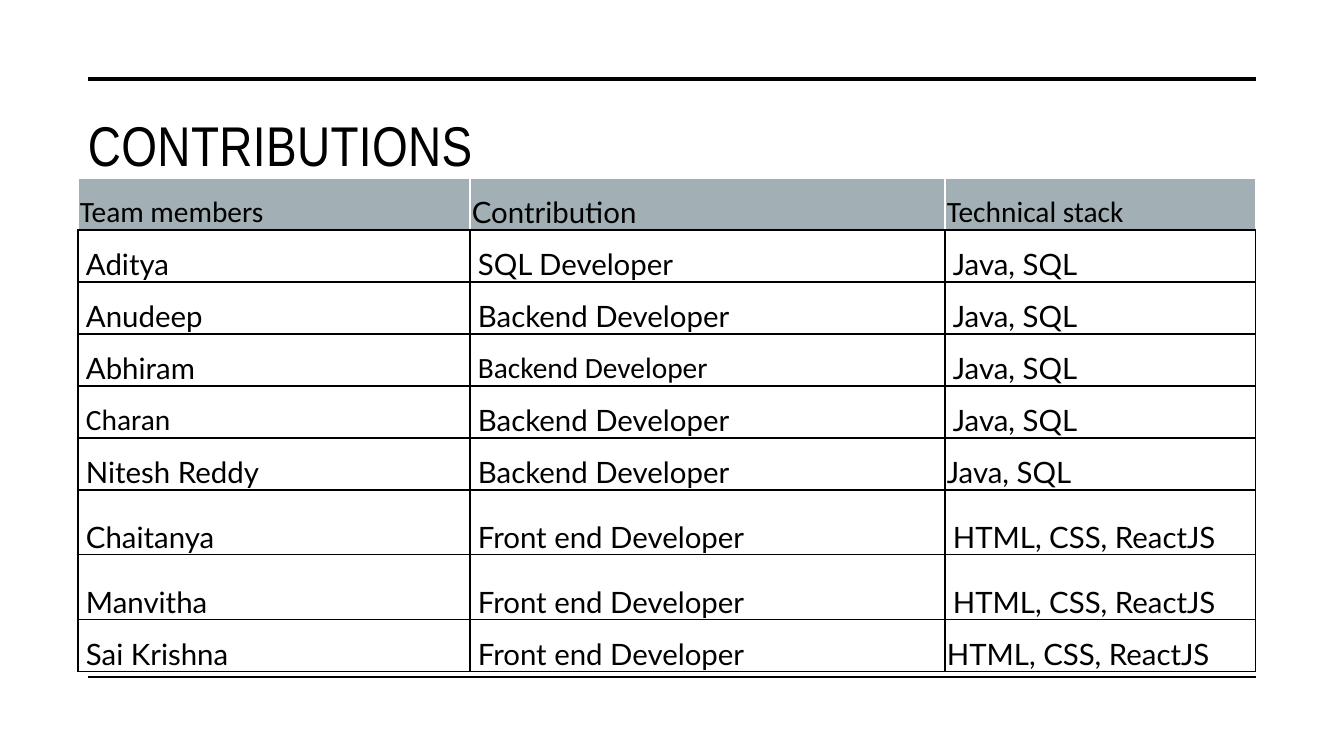
from lxml.etree import SubElement
from pptx import Presentation
from pptx.dml.color import RGBColor
from pptx.enum.shapes import MSO_CONNECTOR
from pptx.enum.text import MSO_ANCHOR
from pptx.oxml import parse_xml
from pptx.oxml.ns import nsdecls, qn
from pptx.util import Pt

EMU_PER_PX = 914400 / 100.8
COLORS = {"ink": "000000", "header": "A2AFB5", "paper": "FFFFFF"}
FONTS = {"title": "Arial Narrow", "body": "Lato", "plain": "Calibri"}

TABLE_LEFT, TABLE_TOP = 78, 178
COLUMN_WIDTHS = [392, 475, 311]
ROW_HEIGHTS = [52] * 6 + [65] * 2 + [52]
CELL_INSET, TEXT_INDENT = 2, 6

BACKEND = ("Backend Developer", "Java, SQL")
FRONTEND = ("Front end Developer", "HTML, CSS, ReactJS")
ROWS = [
    ("Team members", "Contribution", "Technical stack"),
    ("Aditya", "SQL Developer", "Java, SQL"),
    ("Anudeep", *BACKEND),
    ("Abhiram", *BACKEND),
    ("Charan", *BACKEND),
    ("Nitesh Reddy", *BACKEND),
    ("Chaitanya", *FRONTEND),
    ("Manvitha", *FRONTEND),
    ("Sai Krishna", *FRONTEND),
]
PLAIN_CELLS = {(0, 0), (0, 2), (3, 1), (4, 0)}
FLUSH_CELLS = {(0, 0), (0, 1), (0, 2), (5, 2), (8, 2)}


def px(length):
    return round(length * EMU_PER_PX)


class SlideBuilder:
    def __init__(self, page):
        self.page = page

    def color(self, name):
        return RGBColor.from_string(COLORS[name])

    def add_text(self, para, text, font, size):
        span = para.add_run()
        span.text = text
        span.font.name = FONTS[font]
        span.font.size = Pt(size)
        span.font.color.rgb = self.color("ink")
        return span

    def rule(self, left, right, top, weight):
        line = self.page.shapes.add_connector(
            MSO_CONNECTOR.STRAIGHT, px(left), px(top), px(right), px(top))
        line.line.color.rgb = self.color("ink")
        line.line.width = Pt(weight)
        SubElement(line._element.spPr, qn("a:effectLst"))

    def title(self, text, left, top, width, height):
        box = self.page.shapes.add_textbox(px(left), px(top), px(width), px(height))
        frame = box.text_frame
        frame.word_wrap = True
        frame.vertical_anchor = MSO_ANCHOR.TOP
        frame.margin_left = frame.margin_right = px(10)
        frame.margin_top = px(9)
        span = self.add_text(frame.paragraphs[0], text, "title", 40)
        span.font._element.set("spc", "30")

    def borders(self, cell, sides):
        properties = cell._tc.get_or_add_tcPr()
        for index, (side, color) in enumerate(sides.items()):
            properties.insert(index, parse_xml(
                f'<a:ln{side} {nsdecls("a")} w="{Pt(1)}"><a:solidFill>'
                f'<a:srgbClr val="{COLORS[color]}"/></a:solidFill></a:ln{side}>'))

    def cell(self, cell, text, font, indent, is_header):
        cell.vertical_anchor = MSO_ANCHOR.BOTTOM
        cell.margin_left = px(CELL_INSET + indent)
        cell.margin_right = cell.margin_top = px(CELL_INSET)
        cell.margin_bottom = 0
        self.add_text(cell.text_frame.paragraphs[0], text, font, 21)
        if is_header:
            cell.fill.solid()
            cell.fill.fore_color.rgb = self.color("header")
        else:
            cell.fill.background()
        edge = "paper" if is_header else "ink"
        self.borders(cell, {"L": edge, "R": edge, "T": edge, "B": "ink"})

    def table(self, rows, left, top, widths, heights):
        table = self.page.shapes.add_table(
            len(rows), len(widths), px(left), px(top),
            px(sum(widths)), px(sum(heights))).table
        table.first_row = table.horz_banding = False
        for column, width in zip(table.columns, widths):
            column.width = px(width)
        for row, height in zip(table.rows, heights):
            row.height = px(height)
        for i, texts in enumerate(rows):
            for j, text in enumerate(texts):
                font = "plain" if (i, j) in PLAIN_CELLS else "body"
                indent = 0 if (i, j) in FLUSH_CELLS else TEXT_INDENT
                self.cell(table.cell(i, j), text, font, indent, i == 0)


def main():
    deck = Presentation()
    deck.slide_width, deck.slide_height = px(1344), px(756)
    page = deck.slides.add_slide(deck.slide_layouts[6])
    page.background.fill.solid()
    page.background.fill.fore_color.rgb = RGBColor.from_string(COLORS["paper"])

    builder = SlideBuilder(page)
    builder.rule(88, 1256, 79, 3.5)
    builder.rule(88, 1256, 677, 1)
    builder.table(ROWS, TABLE_LEFT, TABLE_TOP, COLUMN_WIDTHS, ROW_HEIGHTS)
    builder.title("CONTRIBUTIONS", TABLE_LEFT, 102, sum(COLUMN_WIDTHS), 151)
    deck.save("out.pptx")


if __name__ == "__main__":
    main()
